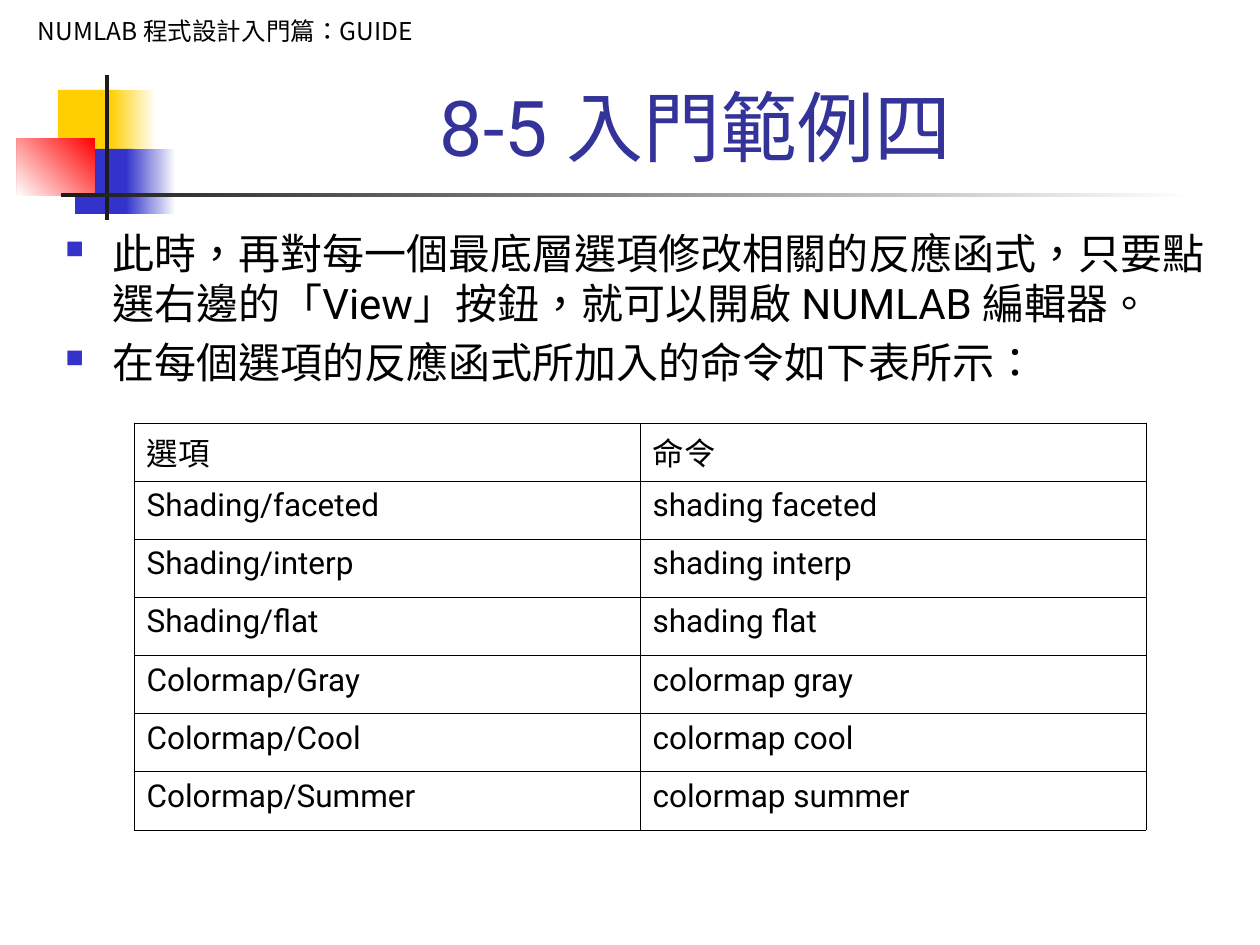
from lxml.etree import SubElement
from pptx import Presentation
from pptx.dml.color import RGBColor
from pptx.enum.lang import MSO_LANGUAGE_ID as LANG
from pptx.enum.shapes import MSO_SHAPE as SHAPE
from pptx.enum.text import MSO_ANCHOR as ANCHOR, PP_ALIGN as ALIGN
from pptx.oxml.ns import qn
from pptx.util import Emu, Pt

SCALE = 914400 / 126
BLACK = RGBColor(0x00, 0x00, 0x00)
WHITE = RGBColor(0xFF, 0xFF, 0xFF)
YELLOW = RGBColor(0xFF, 0xCF, 0x01)
BLUE = RGBColor(0x33, 0x33, 0xCC)
RED = RGBColor(0xFF, 0x00, 0x00)
DARK = RGBColor(0x1C, 0x1C, 0x1C)
NAVY = RGBColor(0x33, 0x33, 0x99)
LATIN, CJK = "Roboto", "Noto Sans CJK SC"

HEADER = "NUMLAB 程式設計入門篇：GUIDE"
TITLE = "8-5 入門範例四"
BULLETS = [
    ("此時，再對每一個最底層選項修改相關的反應函式，只要點選右邊的「View」按鈕，"
     "就可以開啟 NUMLAB 編輯器。", 6),
    ("在每個選項的反應函式所加入的命令如下表所示：", 5),
]
ROWS = [
    ("選項", "命令"),
    ("Shading/faceted", "shading faceted"),
    ("Shading/interp", "shading interp"),
    ("Shading/flat", "shading flat"),
    ("Colormap/Gray", "colormap gray"),
    ("Colormap/Cool", "colormap cool"),
    ("Colormap/Summer", "colormap summer"),
]


def px(n):
    return Emu(round(n * SCALE))


def add_rect(slide, box, color, end=None, angle=180):
    """Borderless rectangle, plain or fading from color to end."""
    sp = slide.shapes.add_shape(SHAPE.RECTANGLE, *map(px, box))
    sp.shadow.inherit = False
    sp.line.fill.background()
    if end is None:
        sp.fill.solid()
        sp.fill.fore_color.rgb = color
    else:
        sp.fill.gradient()
        sp.fill.gradient_angle = angle
        for stop, rgb in zip(sp.fill.gradient_stops, (color, end)):
            stop.color.rgb = rgb
    return sp


def write(p, text, size, color=BLACK, latin=LATIN, east=LATIN):
    r = p.add_run()
    r.text = text
    style = {"size": Pt(size), "name": latin,
             "language_id": LANG.TRADITIONAL_CHINESE}
    for name, value in style.items():
        setattr(r.font, name, value)
    r.font.color.rgb = color
    SubElement(r.font._element, qn("a:ea"), typeface=east)


def add_text_box(slide, box, anchor=ANCHOR.TOP):
    tf = slide.shapes.add_textbox(*map(px, box)).text_frame
    tf.word_wrap = True
    tf.vertical_anchor = anchor
    return tf


def add_bullet(p, color, indent):
    pPr = p._p.get_or_add_pPr()
    pPr.set("marL", str(px(indent)))
    pPr.set("indent", str(-px(indent)))
    clr = SubElement(pPr, qn("a:buClr"))
    SubElement(clr, qn("a:srgbClr"), val=str(color))
    SubElement(pPr, qn("a:buSzPct"), val="60000")
    SubElement(pPr, qn("a:buChar"), char="■")


def add_borders(cell, color, width):
    tcPr = cell._tc.get_or_add_tcPr()
    for i, side in enumerate(("lnL", "lnR", "lnT", "lnB")):
        ln = tcPr.makeelement(qn(f"a:{side}"), {"w": str(Pt(width))})
        tcPr.insert(i, ln)
        fill = SubElement(ln, qn("a:solidFill"))
        SubElement(fill, qn("a:srgbClr"), val=str(color))


def add_grid(slide, box, rows):
    shape = slide.shapes.add_table(len(rows), len(rows[0]), *map(px, box))
    table = shape.table
    for name in ("first_row", "horz_banding"):
        setattr(table, name, False)
    for r, row in enumerate(rows):
        for c, text in enumerate(row):
            cell = table.cell(r, c)
            cell.fill.background()
            write(cell.text_frame.paragraphs[0], text, 18, east=CJK)
            add_borders(cell, BLACK, 0.45)


def add_ornament(slide):
    add_rect(slide, (58, 90, 61, 66), YELLOW)
    add_rect(slide, (110, 90, 46, 66), WHITE, YELLOW)
    add_rect(slide, (75, 149, 58, 65), BLUE)
    add_rect(slide, (126, 149, 50, 65), WHITE, BLUE)
    add_rect(slide, (17, 138, 78, 58), RED, WHITE, angle=225)
    add_rect(slide, (105, 75, 4, 145), DARK)
    add_rect(slide, (61, 193, 1134, 4), WHITE, DARK)


def main():
    prs = Presentation()
    prs.slide_width, prs.slide_height = px(1260), px(945)
    slide = prs.slides.add_slide(prs.slide_layouts[6])

    # Corner ornament and rule
    add_ornament(slide)

    # Running header
    tf = add_rect(slide, (10, 10, 431, 43), WHITE).text_frame
    tf.vertical_anchor = ANCHOR.TOP
    p = tf.paragraphs[0]
    p.alignment = ALIGN.CENTER
    write(p, HEADER, 14, latin=CJK, east=CJK)

    # Title
    p = add_text_box(slide, (159, 73, 1074, 105), ANCHOR.BOTTOM).paragraphs[0]
    p.alignment = ALIGN.CENTER
    write(p, TITLE, 44, NAVY)

    # Bullets
    tf = add_text_box(slide, (53, 221, 1183, 698))
    for i, (text, space) in enumerate(BULLETS):
        p = tf.add_paragraph() if i else tf.paragraphs[0]
        p.space_before = Pt(space)
        add_bullet(p, BLUE, 47)
        write(p, text, 24)

    # Options and commands
    add_grid(slide, (134, 423, 1012, 407), ROWS)

    prs.save("out.pptx")


if __name__ == "__main__":
    main()
